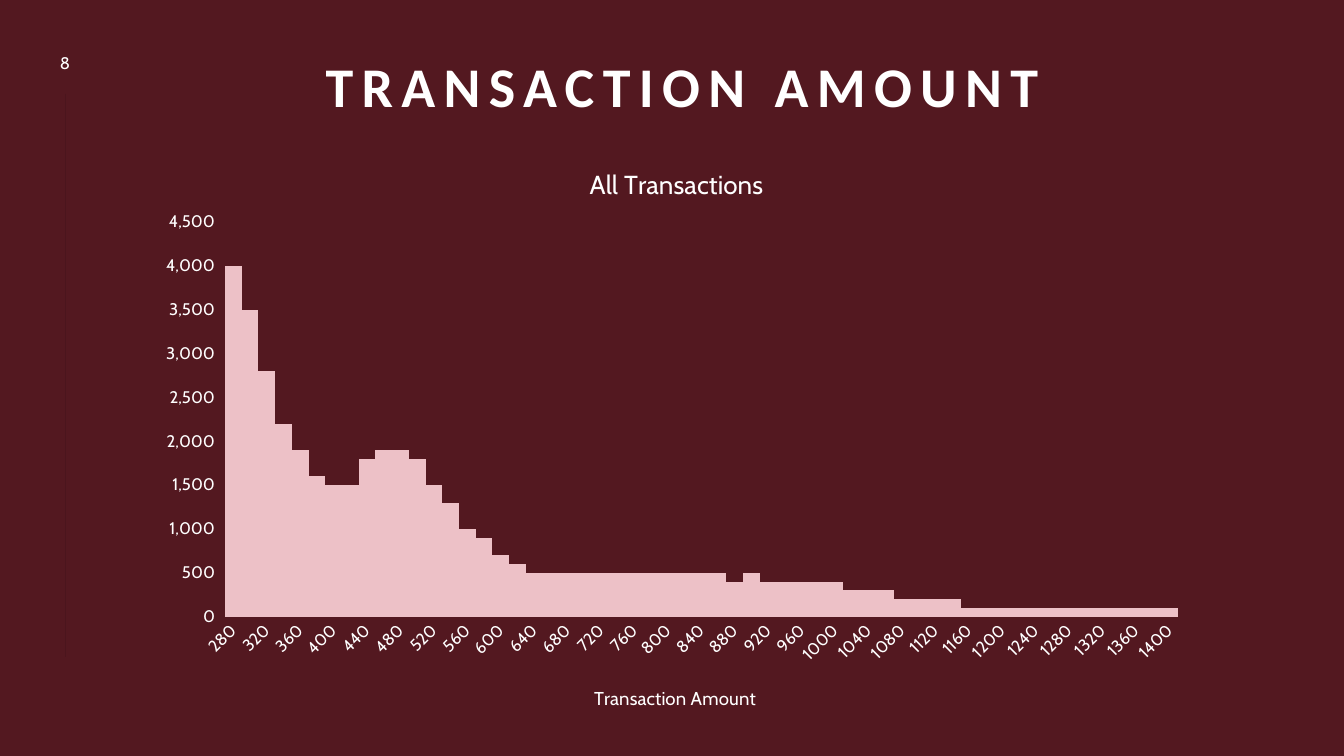
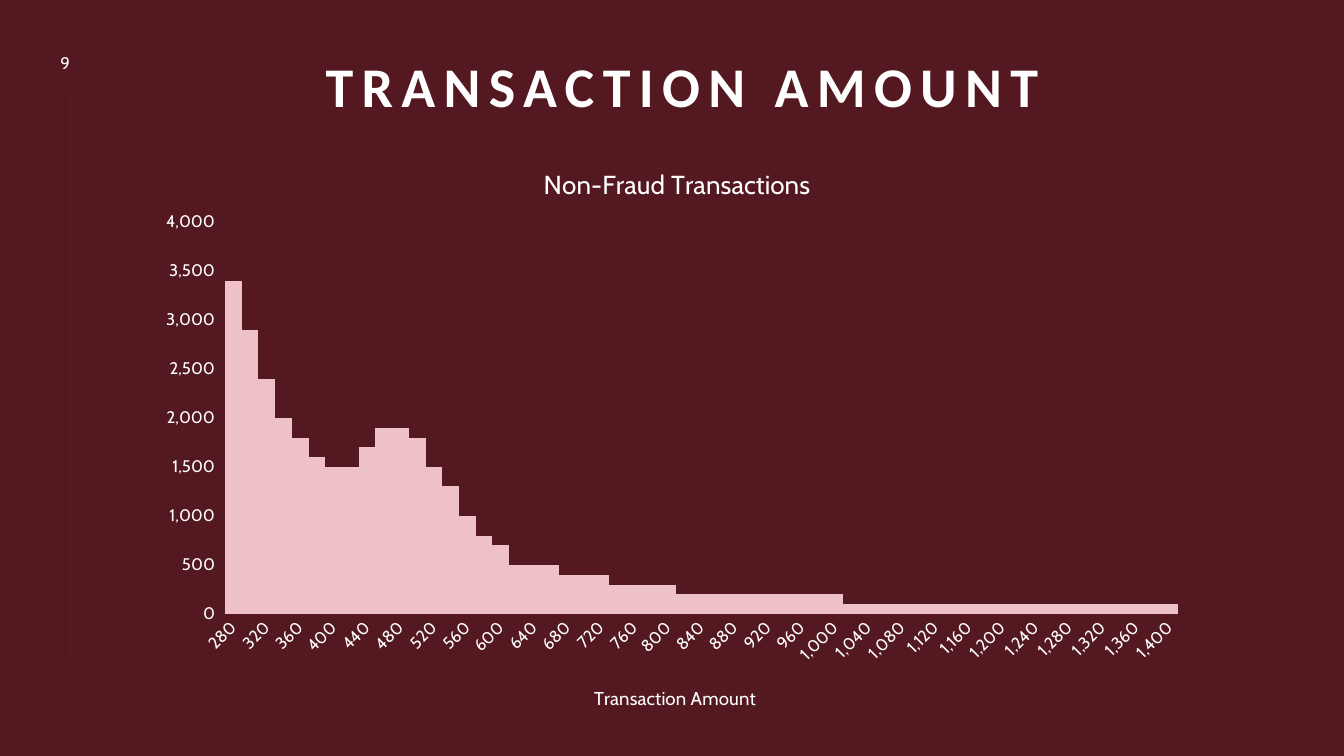
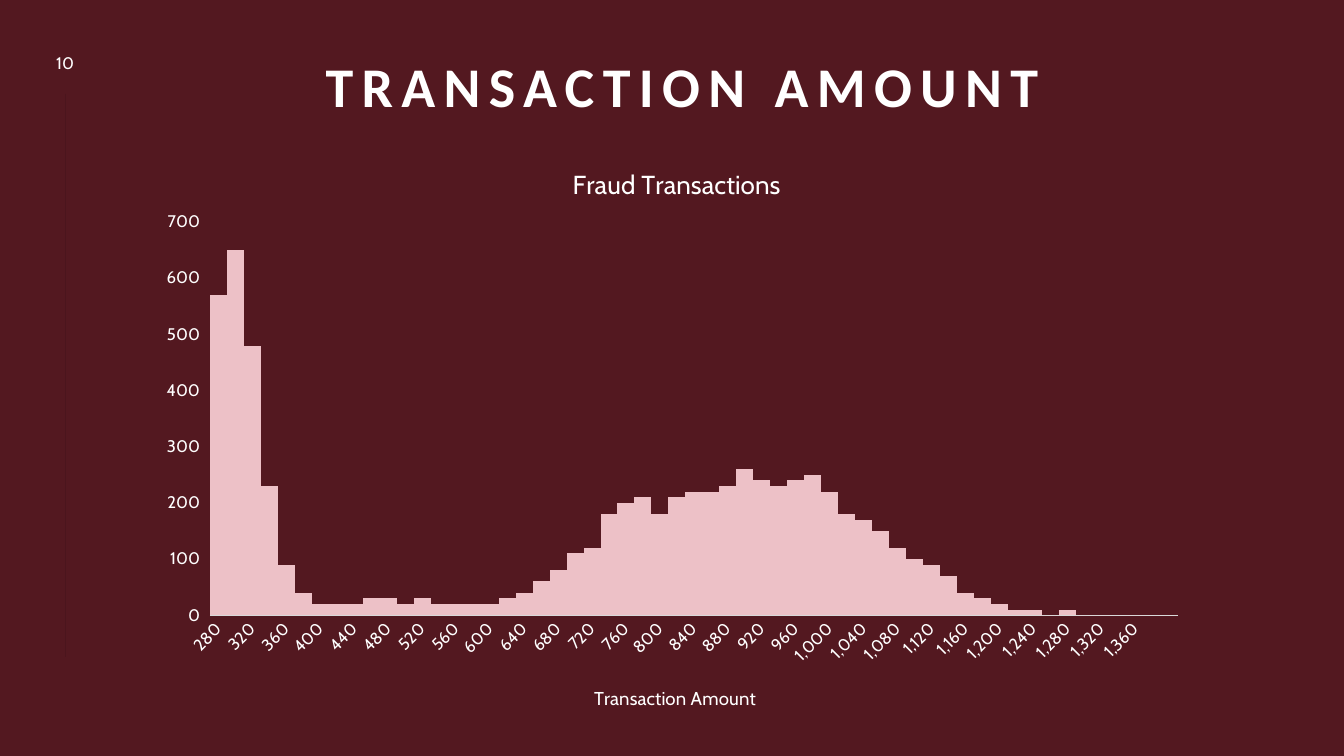
import pptx
import pptx.util
import pptx.chart.data
import pptx.dml.color
import pptx.enum.chart
import pptx.enum.shapes
import pptx.enum.text
import pptx.oxml.ns
import lxml.etree

Pt = pptx.util.Pt
qn = pptx.oxml.ns.qn


def color(value):
    return pptx.dml.color.RGBColor.from_string(value)


def assign(target, values):
    for name, value in values.items():
        setattr(target, name, value)


def box(left, top, width, height):
    return dict(left=Pt(left), top=Pt(top), width=Pt(width), height=Pt(height))


class Deck:
    BACK, RULE, WHITE, BAR, AXIS = "531820", "4B151D", "FFFFFF", "EDC1C7", "D9D9D9"
    CHART = (103.7, 97.2, 752.4, 422.6)
    PLOT_TOP, PLOT_RIGHT = 158.6, 841.4

    def __init__(self):
        self.prs = pptx.Presentation()
        assign(self.prs, dict(slide_width=Pt(960), slide_height=Pt(540)))
        fill = self.prs.slide_master.background.fill
        fill.solid()
        fill.fore_color.rgb = color(self.BACK)
        self.s = None

    def font(self, font, size, name="Cabin", bold=False):
        assign(font, dict(size=Pt(size), name=name, bold=bold))
        font.color.rgb = color(self.WHITE)

    def slide(self, title, number):
        self.s = self.prs.slides.add_slide(self.prs.slide_layouts[5])
        self.rule()
        self.title(title)
        self.number(number)

    def rule(self):
        line = self.s.shapes.add_connector(
            pptx.enum.shapes.MSO_CONNECTOR.STRAIGHT, Pt(46.8), Pt(67), Pt(46.8), Pt(469.4))
        line.line.width = Pt(0.5)
        line.line.color.rgb = color(self.RULE)
        lxml.etree.SubElement(line.element.spPr, qn("a:effectLst"))

    def label(self, sp, text, anchor, size, **style):
        tf = sp.text_frame
        assign(tf, dict(word_wrap=True, vertical_anchor=anchor,
                        auto_size=pptx.enum.text.MSO_AUTO_SIZE.NONE))
        p = tf.paragraphs[0]
        p.alignment = pptx.enum.text.PP_ALIGN.CENTER
        r = p.add_run()
        r.text = text
        self.font(r.font, size, **style)
        return p

    def title(self, text):
        sp = self.s.shapes.title
        assign(sp, box(59, 5, 856.8, 84.3))
        p = self.label(sp, text, pptx.enum.text.MSO_ANCHOR.BOTTOM, 40,
                       name="Calibri", bold=True)
        p.line_spacing = 0.9
        sp.element.find(".//" + qn("a:rPr")).set("spc", "600")

    def number(self, value):
        sp = self.s.shapes.add_textbox(Pt(26), Pt(32.4), Pt(41), Pt(24.5))
        self.label(sp, str(value), pptx.enum.text.MSO_ANCHOR.MIDDLE, 12)

    def place(self, element, index, left, top, width=None, height=None):
        for old in element.findall(qn("c:layout")):
            element.remove(old)
        layout = lxml.etree.Element(qn("c:layout"))
        element.insert(index, layout)
        manual = lxml.etree.SubElement(layout, qn("c:manualLayout"))
        x, y, w, h = self.CHART
        values = {"xMode": "edge", "yMode": "edge",
                  "x": (left - x) / w, "y": (top - y) / h}
        if width:
            values = {"layoutTarget": "inner", **values, "w": width / w, "h": height / h}
        for name, value in values.items():
            lxml.etree.SubElement(manual, qn("c:" + name)).set("val", str(value))

    def chart_text(self, title, text, size, left, top):
        p = title.text_frame.paragraphs[0]
        r = p.add_run()
        r.text = text
        self.font(r.font, size)
        self.place(title.element, 1, left, top)

    def histogram(self, title, title_left, labels, values, top_value, step,
                  plot_left, plot_bottom):
        data = pptx.chart.data.CategoryChartData()
        data.categories = labels
        data.add_series("Series 1", values)
        chart = self.s.shapes.add_chart(
            pptx.enum.chart.XL_CHART_TYPE.COLUMN_CLUSTERED,
            *map(Pt, self.CHART), data).chart
        assign(chart, dict(has_legend=False, has_title=True))
        self.font(chart.font, 10)
        self.chart_text(chart.chart_title, title, 18.6, title_left, 115)
        plot = chart.plots[0]
        assign(plot, dict(gap_width=0, vary_by_categories=False))
        fill = plot.series[0].format.fill
        fill.solid()
        fill.fore_color.rgb = color(self.BAR)
        self.axes(chart, top_value, step)
        self.place(chart.element.find(".//" + qn("c:plotArea")), 0, plot_left,
                   self.PLOT_TOP, self.PLOT_RIGHT - plot_left, plot_bottom - self.PLOT_TOP)

    def axes(self, chart, top_value, step):
        marks = pptx.enum.chart.XL_TICK_MARK
        cat, val = chart.category_axis, chart.value_axis
        assign(cat, dict(has_major_gridlines=False, major_tick_mark=marks.NONE, has_title=True))
        assign(val, dict(has_major_gridlines=False, major_tick_mark=marks.OUTSIDE,
                         minimum_scale=0, maximum_scale=top_value, major_unit=step))
        for axis in (cat, val):
            self.font(axis.tick_labels.font, 12)
        assign(val.tick_labels, dict(number_format="#,##0", number_format_is_linked=False))
        val.format.line.fill.background()
        cat.format.line.width = Pt(0.75)
        cat.format.line.color.rgb = color(self.AXIS)
        self.chart_text(cat.axis_title, "Transaction Amount", 13.3, 422, 487)
        ax = chart.element.find(".//" + qn("c:catAx"))
        ax.find(qn("c:txPr")).find(qn("a:bodyPr")).set("rot", "-2700000")
        skip = lxml.etree.Element(qn("c:tickLblSkip"))
        skip.set("val", "2")
        ax.find(qn("c:noMultiLvlLbl")).addprevious(skip)


ALL = [4000, 3500, 2800, 2200, 1900, 1600, 1500, 1500, 1800, 1900, 1900, 1800,
       1500, 1300, 1000, 900, 700, 600] + [500] * 12 + [
       400, 500] + [400] * 5 + [300] * 3 + [200] * 4 + [100] * 13
NON_FRAUD = [3400, 2900, 2400, 2000, 1800, 1600, 1500, 1500, 1700, 1900, 1900, 1800,
             1500, 1300, 1000, 800, 700, 500, 500, 500, 400, 400, 400
             ] + [300] * 4 + [200] * 10 + [100] * 20
FRAUD = [570, 650, 480, 230, 90, 40, 20, 20, 20, 30, 30, 20, 30, 20, 20, 20, 20, 30,
         40, 60, 80, 110, 120, 180, 200, 210, 180, 210, 220, 220, 230, 260, 240, 230,
         240, 250, 220, 180, 170, 150, 120, 100, 90, 70, 40, 30, 20, 10, 10, 0, 10,
         0, 0, None, 0, None, None]


def main():
    amounts = range(280, 1401, 20)
    plain = [str(a) for a in amounts]
    grouped = [f"{a:,}" for a in amounts]
    slides = [
        ("All Transactions", 417.9, plain, ALL, 4500, 500, 160.7, 440.5),
        ("Non-Fraud Transactions", 385, grouped, NON_FRAUD, 4000, 500, 160.7, 438.6),
        ("Fraud Transactions", 405.7, grouped[:-2] + ["", ""], FRAUD, 700, 100, 150, 439.5),
    ]
    deck = Deck()
    for number, histogram in enumerate(slides, 8):
        deck.slide("TRANSACTION AMOUNT", number)
        deck.histogram(*histogram)
    deck.prs.save("out.pptx")


if __name__ == "__main__":
    main()
